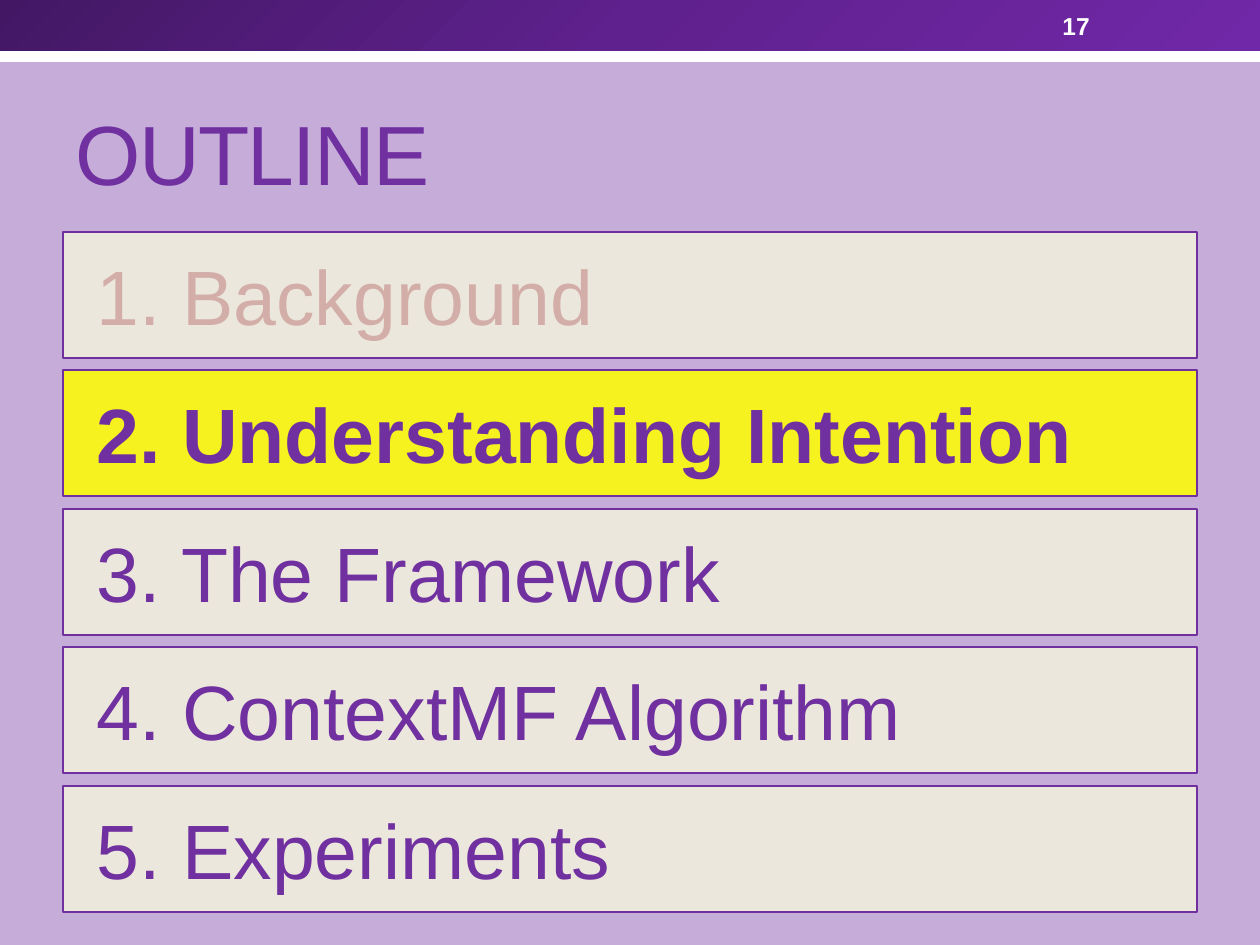
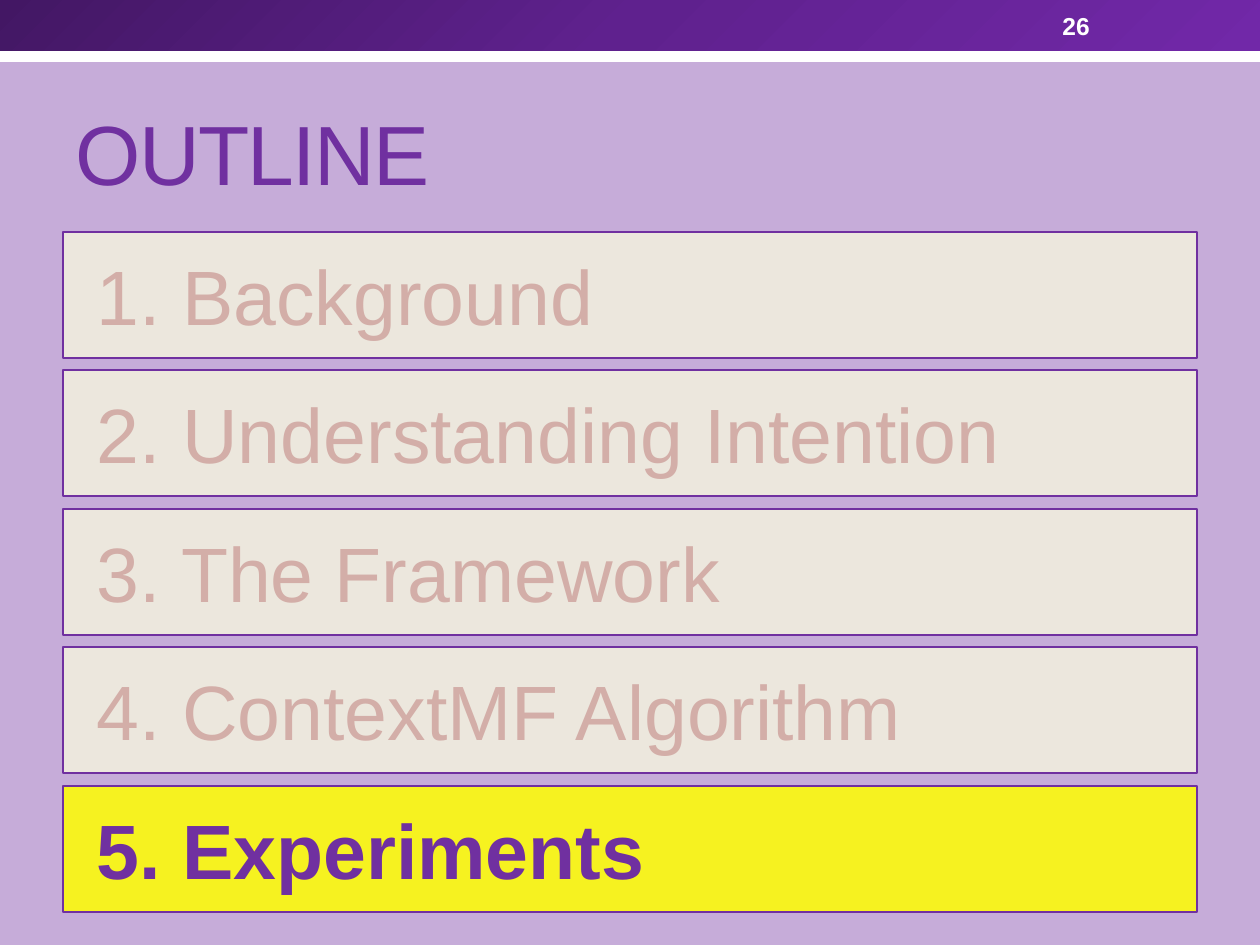
from copy import deepcopy
from dataclasses import dataclass

from lxml.etree import SubElement
from pptx import Presentation
from pptx.dml.color import RGBColor
from pptx.enum.shapes import MSO_SHAPE
from pptx.enum.text import MSO_ANCHOR, MSO_AUTO_SIZE, PP_ALIGN
from pptx.oxml.ns import qn
from pptx.util import Emu, Pt


@dataclass(frozen=True)
class Theme:
    """Colours, font and type sizes shared by the slides."""
    font: str = "Arial"
    background: str = "C6ACD9"
    purple: str = "7030A0"
    white: str = "FFFFFF"
    cream: str = "F3F2DE"
    highlight: str = "FFFF00"
    muted: str = "D3AEA8"
    band: tuple = ("431764", "5F218E", "7128A8")
    title_size: int = 48
    item_size: int = 44
    number_size: int = 14
    border: float = 1.5
    opacity: int = 85


THEME = Theme()
SECTIONS = ["Background", "Understanding Intention", "The Framework",
            "ContextMF Algorithm", "Experiments"]
SLIDE_W, SLIDE_H = 1260, 945
LEFT, CONTENT_W = 63, 1134
ITEM_TOP, ITEM_H, LAST_TOP = 232, 126, 786


def px(n):
    """Turn pixels into EMU."""
    return Emu(round(n * 914400 / 126))


def rgb(color):
    """Turn a hex string into a colour."""
    return RGBColor.from_string(color)


def write(s, text, size, color, bold=False, anchor=MSO_ANCHOR.MIDDLE):
    """Write one left-aligned, styled line into a shape."""
    tf = s.text_frame
    tf.text = text
    tf.word_wrap = True
    tf.auto_size = MSO_AUTO_SIZE.NONE
    tf.vertical_anchor = anchor
    p = tf.paragraphs[0]
    p.alignment = PP_ALIGN.LEFT
    font = p.runs[0].font
    font.name, font.size, font.bold = THEME.font, Pt(size), bold
    font.color.rgb = rgb(color)
    return tf


def add_rect(slide, left, top, width, height, color):
    """Add a plain filled rectangle."""
    s = slide.shapes.add_shape(MSO_SHAPE.RECTANGLE, px(left), px(top), px(width), px(height))
    s.shadow.inherit = False
    s.fill.solid()
    s.fill.fore_color.rgb = rgb(color)
    s.line.fill.background()
    return s


def shade(s, colors):
    """Give a shape a three-stop diagonal gradient."""
    s.fill.gradient()
    s.fill.gradient_angle = 315
    stops = s._element.spPr.find(".//" + qn("a:gsLst"))
    stops.insert(1, deepcopy(stops[0]))
    for i, (stop, color) in enumerate(zip(s.fill.gradient_stops, colors)):
        stop.position = i / (len(colors) - 1)
        stop.color.rgb = rgb(color)


def add_header(slide, number):
    """Add the top bands and the slide number."""
    add_rect(slide, 0, 30, SLIDE_W, 32, THEME.white)
    shade(add_rect(slide, 0, 0, SLIDE_W, 51, THEME.purple), THEME.band)
    s = slide.shapes.add_textbox(px(1050), px(3), px(147), px(45))
    write(s, str(number), THEME.number_size, THEME.white, bold=True)


def add_title(slide, text):
    """Place and style the title placeholder."""
    s = slide.shapes.title
    s.left, s.top, s.width, s.height = px(LEFT), px(73), px(CONTENT_W), px(136)
    tf = write(s, text, THEME.title_size, THEME.purple, anchor=MSO_ANCHOR.BOTTOM)
    tf.paragraphs[0].runs[0].font._element.set("spc", "-100")


def add_item(slide, top, text, fill, color, bold):
    """Add one translucent, bordered outline box."""
    s = add_rect(slide, LEFT, top, CONTENT_W, ITEM_H, fill)
    clr = s._element.spPr.find(qn("a:solidFill"))[0]
    SubElement(clr, qn("a:alpha")).set("val", str(THEME.opacity * 1000))
    s.line.color.rgb = rgb(THEME.purple)
    s.line.width = Pt(THEME.border)
    tf = write(s, text, THEME.item_size, color, bold)
    tf.margin_left = px(34)


def add_outline(prs, number, current):
    """Add an outline slide that highlights the current section."""
    slide = prs.slides.add_slide(prs.slide_layouts[5])
    add_header(slide, number)
    add_title(slide, "OUTLINE")
    for i, name in enumerate(SECTIONS):
        top = ITEM_TOP + i * (LAST_TOP - ITEM_TOP) // (len(SECTIONS) - 1)
        active = i + 1 == current
        fill = THEME.highlight if active else THEME.cream
        color = THEME.muted if i + 1 < current else THEME.purple
        add_item(slide, top, f"{i + 1}. {name}", fill, color, active)


def main():
    """Build and save the slides."""
    prs = Presentation()
    prs.slide_width, prs.slide_height = px(SLIDE_W), px(SLIDE_H)
    fill = prs.slide_master.background.fill
    fill.solid()
    fill.fore_color.rgb = rgb(THEME.background)
    add_outline(prs, number=17, current=2)
    add_outline(prs, number=26, current=5)
    prs.save("out.pptx")


if __name__ == "__main__":
    main()
